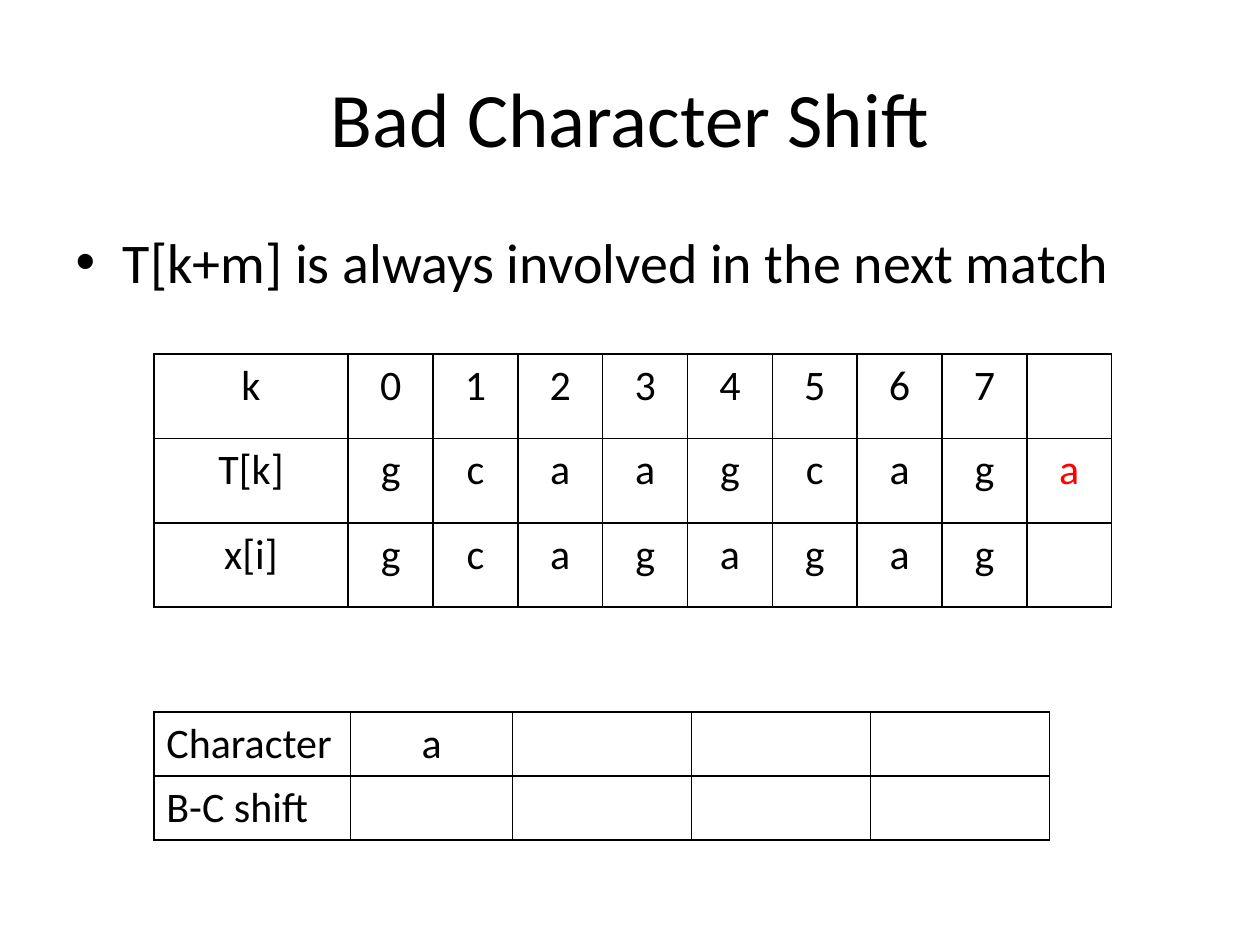
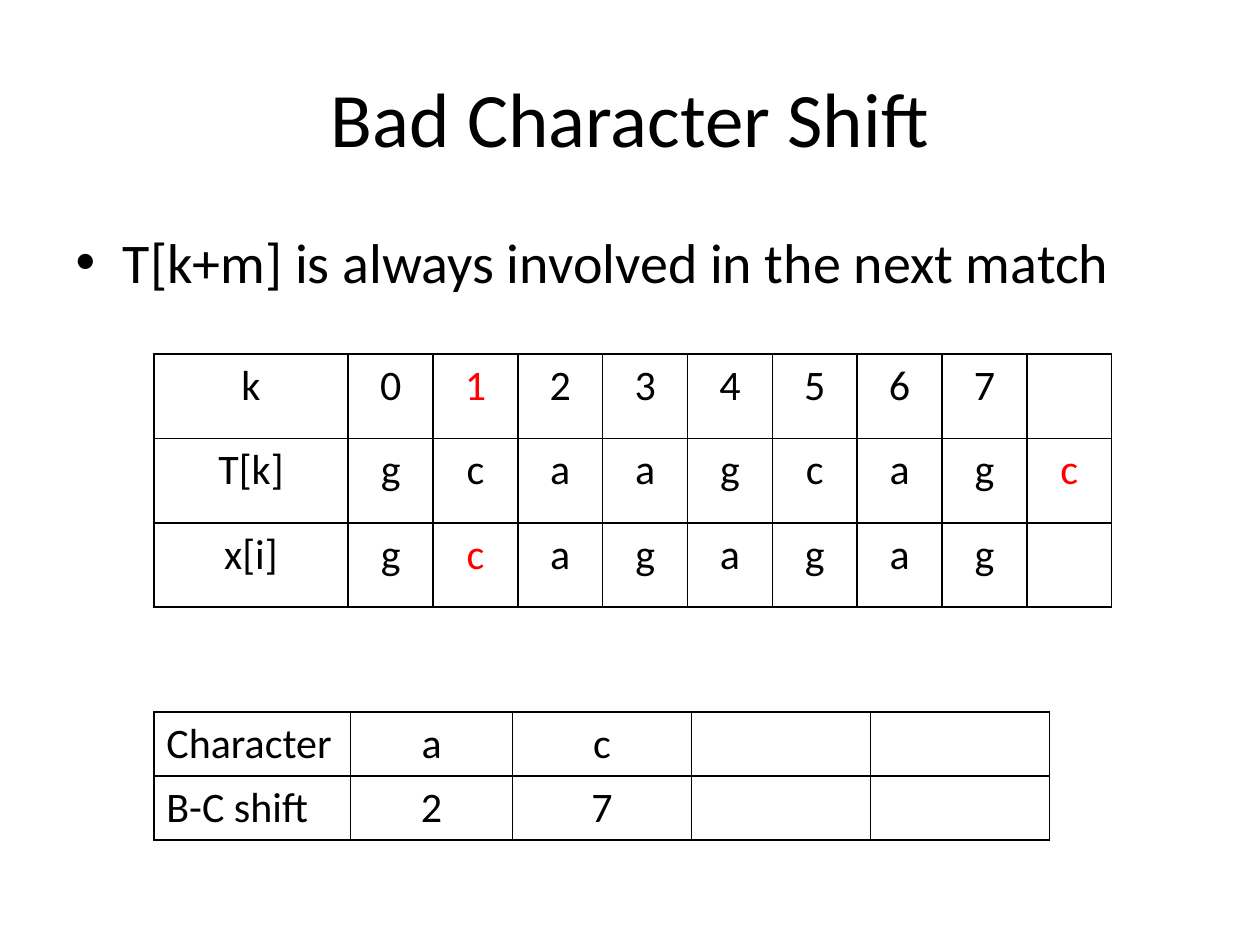
from pptx import Presentation
from pptx.dml.color import RGBColor
from pptx.enum.text import MSO_ANCHOR, PP_ALIGN
from pptx.oxml import parse_xml
from pptx.oxml.ns import nsdecls
from pptx.util import Cm, Pt

BLACK = RGBColor(0, 0, 0)
RED = RGBColor(255, 0, 0)
FONT = "Calibri"

TITLE = "Bad Character Shift"
POINT = "T[k+m] is always involved in the next match"
TABLE_LEFT = 3.1
MATCH_COLUMNS = [3.92] + [1.71] * 9
SHIFT_COLUMNS = [3.97, 3.26, 3.61, 3.61, 3.61]


def write(frame, text, size=24, color=BLACK, align=PP_ALIGN.CENTER):
    """Fill the first paragraph of a text frame."""
    paragraph = frame.paragraphs[0]
    paragraph.alignment = align
    paragraph.space_before = Pt(0)
    run = paragraph.add_run()
    run.text = text
    run.font.name = FONT
    run.font.size = Pt(size)
    run.font.color.rgb = color


def place(shape, left, top, width, height):
    shape.left, shape.top = Cm(left), Cm(top)
    shape.width, shape.height = Cm(width), Cm(height)


def add_borders(cell):
    properties = cell._tc.get_or_add_tcPr()
    for position, side in enumerate("LRTB"):
        properties.insert(position, parse_xml(
            f'<a:ln{side} {nsdecls("a")} w="{Pt(1)}"><a:solidFill>'
            f'<a:srgbClr val="{BLACK}"/></a:solidFill></a:ln{side}>'))


def add_grid(slide, rows, top, columns, row_height, red_cells=(),
             label_align=PP_ALIGN.CENTER):
    """Add an unfilled, ruled table whose first column holds the labels."""
    table = slide.shapes.add_table(
        len(rows), len(columns), Cm(TABLE_LEFT), Cm(top),
        Cm(sum(columns)), Cm(row_height * len(rows))).table
    table.first_row = table.horz_banding = False
    for column, width in zip(table.columns, columns):
        column.width = Cm(width)
    for r, row in enumerate(rows):
        table.rows[r].height = Cm(row_height)
        for c in range(len(columns)):
            cell = table.cell(r, c)
            cell.fill.background()
            add_borders(cell)
            if c < len(row):
                write(cell.text_frame, row[c],
                      color=RED if (r, c) in red_cells else BLACK,
                      align=PP_ALIGN.CENTER if c else label_align)


def add_shift_slide(deck, next_character, red_cells, characters, shifts):
    slide = deck.slides.add_slide(deck.slide_layouts[1])

    # Title and statement
    title, statement = slide.placeholders
    place(title, 1.27, 0.76, 22.86, 3.18)
    title.text_frame.vertical_anchor = MSO_ANCHOR.MIDDLE
    write(title.text_frame, TITLE, size=44)
    place(statement, 1.27, 4.45, 22.86, 12.57)
    write(statement.text_frame, POINT, size=32, align=PP_ALIGN.LEFT)

    # Text aligned with the pattern
    match_rows = [["k", *"01234567"],
                  ["T[k]", *"gcaagcag", next_character],
                  ["x[i]", *"gcagagag"]]
    add_grid(slide, match_rows, 7.14, MATCH_COLUMNS, 1.7, red_cells)

    # Bad character shifts found so far
    shift_rows = [["Character", *characters], ["B-C shift", *shifts]]
    add_grid(slide, shift_rows, 14.35, SHIFT_COLUMNS, 1.29,
             label_align=PP_ALIGN.LEFT)


def main():
    deck = Presentation()
    deck.slide_width, deck.slide_height = Cm(25.4), Cm(19.05)
    add_shift_slide(deck, "a", {(1, 9)}, "a", "")
    add_shift_slide(deck, "c", {(0, 2), (1, 9), (2, 2)}, "ac", "27")
    deck.save("out.pptx")


if __name__ == "__main__":
    main()
